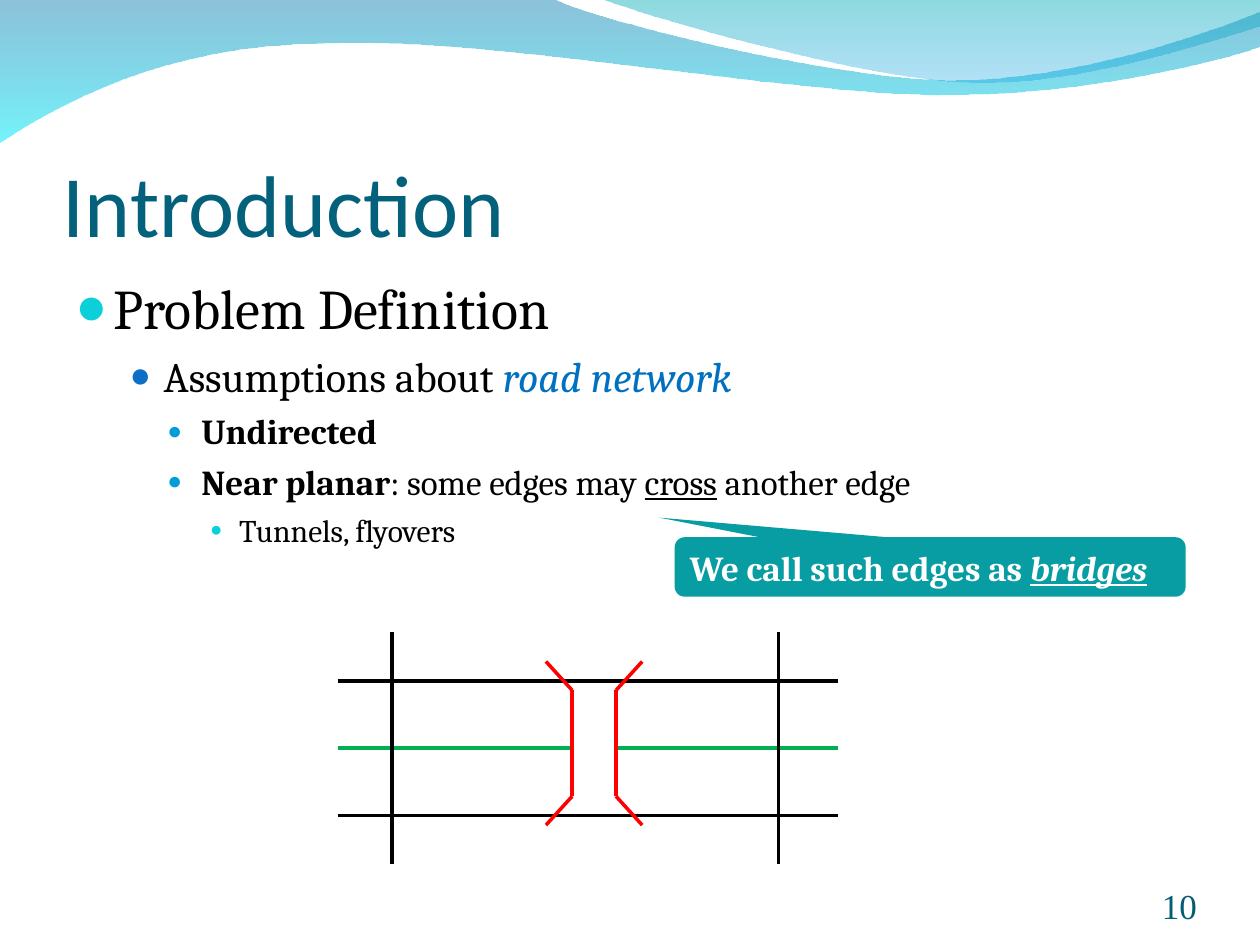
import pptx
import pptx.dml.color
import pptx.enum.shapes
import pptx.enum.text
import pptx.oxml
import pptx.oxml.ns
import pptx.util

Pt = pptx.util.Pt
MSO_SHAPE = pptx.enum.shapes.MSO_SHAPE
ANCHOR = pptx.enum.text.MSO_ANCHOR
ALIGN = pptx.enum.text.PP_ALIGN
qn = pptx.oxml.ns.qn


def color(value):
    return pptx.dml.color.RGBColor.from_string(value)


def add_runs(paragraph, size, font_name, runs):
    for text, font_color, formats in runs:
        run = paragraph.add_run()
        run.text = text
        run.font.color.rgb = color(font_color)
        for name, value in {"size": Pt(size), "name": font_name, **formats}.items():
            setattr(run.font, name, value)


presentation = pptx.Presentation()
presentation.slide_width, presentation.slide_height = Pt(720), Pt(540)
slide = presentation.slides.add_slide(presentation.slide_layouts[6])
shapes = slide.shapes

waves = [
    ((0, -0.5), [
        [(317, -0.5)],
        [(343, 12), (478, 45.5), (546, 45.5)],
        [(614, 45.5), (690, 18.5), (720, 6.5)],
        [(721, 26)],
        [(708, 31.5), (626, 54.5), (537, 54)],
        [(448, 54), (275, 20), (185, 24.5)],
        [(93, 25), (33, 60), (-0.5, 81.5)],
        [(0, -0.5)],
    ], [("0079AF", 45), ("00EBF8", 55)]),
    ((345, -0.5), [
        [(366, 8), (491, 44.5), (553.5, 47)],
        [(616, 49.5), (692, 23), (720, 15)],
        [(720, 0)],
        [(345, -0.5)],
    ], [("00ADB6", 45), ("009BE5", 30)]),
]
for start, segments, stops in waves:
    builder = shapes.build_freeform(Pt(start[0]), Pt(start[1]))
    for segment in segments:
        builder.add_line_segments([(Pt(x), Pt(y)) for x, y in segment], close=False)
    builder.add_line_segments([], close=True)
    wave = builder.convert_to_shape()
    vertices = iter(list(wave._element.iter(qn("a:lnTo"))))
    for segment in segments:
        first, *others = [next(vertices) for point in segment]
        if others:
            curve = first.makeelement(qn("a:cubicBezTo"), {})
            first.addprevious(curve)
            for vertex in (first, *others):
                curve.append(vertex[0])
                vertex.getparent().remove(vertex)
    wave.shadow.inherit = False
    wave.line.fill.background()
    wave.fill.gradient()
    wave.fill.gradient_angle = 270
    for stop, (stop_color, opacity), position in zip(wave.fill.gradient_stops, stops, (0, 1)):
        stop.color.rgb = color(stop_color)
        stop.position = position
    for element, (stop_color, opacity) in zip(wave._element.spPr.iter(qn("a:srgbClr")), stops):
        element.append(element.makeelement(qn("a:alpha"), {"val": str(opacity * 1000)}))

roads = [(193, y, 479, y, line_color)
         for y, line_color in ((466, "000000"), (389, "000000"), (427.5, "00B050"))]
bridge = []
for inner, outer in ((327, 312), (352, 367)):
    bridge += [(outer, 378, inner, 394.5, "FF0000"),
               (outer, 471.5, inner, 455, "FF0000"),
               (inner, 394.5, inner, 455, "FF0000")]
crossroads = [(x, 361, x, 494, "000000") for x in (224, 445)]

for lines in (roads, bridge, crossroads):
    container = shapes
    if lines is bridge:
        gap = shapes.add_shape(MSO_SHAPE.RECTANGLE, Pt(326), Pt(394.5), Pt(26.5), Pt(60))
        gap.shadow.inherit = False
        gap.fill.solid()
        gap.fill.fore_color.rgb = color("FFFFFF")
        gap.line.fill.background()
        container = shapes.add_group_shape().shapes
    for x1, y1, x2, y2, line_color in lines:
        connector = container.add_connector(
            pptx.enum.shapes.MSO_CONNECTOR.STRAIGHT, Pt(x1), Pt(y1), Pt(x2), Pt(y2))
        connector.line.color.rgb = color(line_color)
        connector.line.width = Pt(2)
        properties = connector._element.spPr
        properties.append(properties.makeelement(qn("a:effectLst"), {}))

callout = shapes.add_shape(
    MSO_SHAPE.ROUNDED_RECTANGULAR_CALLOUT, Pt(385.5), Pt(307), Pt(292), Pt(34))
callout.shadow.inherit = False
callout.fill.solid()
callout.fill.fore_color.rgb = color("089CA3")
callout.line.fill.background()
for index, value in enumerate((-0.53, -0.83, 0.17)):
    callout.adjustments[index] = value

title = shapes.add_textbox(Pt(36), Pt(55.5), Pt(648), Pt(90))
body = shapes.add_textbox(Pt(36), Pt(152.5), Pt(647), Pt(208))
number = shapes.add_textbox(Pt(624), Pt(500.5), Pt(60), Pt(29))

white_bold = {"bold": True}
texts = [
    (title, ANCHOR.BOTTOM, (0, 3.6, 0, 0), ALIGN.LEFT, 50, "Calibri",
     [("Introduction", "04617B", {})]),
    (number, ANCHOR.BOTTOM, (0, 0, 0, 0), ALIGN.RIGHT, 20, "Times New Roman",
     [("10", "045C75", {})]),
    (callout, ANCHOR.TOP, (7.2, 3.6, 7.2, 3.6), ALIGN.LEFT, 20, "Cambria",
     [("We call such edges as ", "FFFFFF", white_bold),
      ("bridges", "FFFFFF", {**white_bold, "italic": True, "underline": True})]),
]
for shape, anchor, margins, alignment, size, font_name, runs in texts:
    frame = shape.text_frame
    formats = {"word_wrap": True, "vertical_anchor": anchor}
    sides = ("margin_left", "margin_top", "margin_right", "margin_bottom")
    formats.update(zip(sides, map(Pt, margins)))
    for name, value in formats.items():
        setattr(frame, name, value)
    frame.paragraphs[0].alignment = alignment
    add_runs(frame.paragraphs[0], size, font_name, runs)

levels = [
    (32, 21.6, -21.6, 8, "0BD0D9", 95),
    (24, 50.4, -19.4, 6, "0F6FC6", 85),
    (20, 72, -19.4, 5, "009DD9", 70),
    (18, 93.6, -16.6, 4.5, "0BD0D9", 65),
]
bullets = [
    (0, [("Problem Definition", "000000", {})]),
    (1, [("Assumptions about ", "000000", {}),
         ("road network", "0070C0", {"italic": True})]),
    (2, [("Undirected", "000000", {"bold": True})]),
    (2, [("Near planar", "000000", {"bold": True}),
         (": some edges may ", "000000", {}),
         ("cross", "000000", {"underline": True}),
         (" another edge", "000000", {})]),
    (3, [("Tunnels, flyovers", "000000", {})]),
]
body.text_frame.word_wrap = True
for index, (level, runs) in enumerate(bullets):
    size, margin, indent, space, bullet_color, bullet_size = levels[level]
    paragraph = body.text_frame.paragraphs[0] if index == 0 else body.text_frame.add_paragraph()
    paragraph.level = level
    paragraph.space_before = Pt(space)
    properties = paragraph._p.get_or_add_pPr()
    properties.set("marL", str(Pt(margin)))
    properties.set("indent", str(Pt(indent)))
    bullet_xml = (
        f'<a:pPr xmlns:a="http://schemas.openxmlformats.org/drawingml/2006/main">'
        f'<a:buClr><a:srgbClr val="{bullet_color}"/></a:buClr>'
        f'<a:buSzPct val="{bullet_size * 1000}"/>'
        f'<a:buFont typeface="Times New Roman"/><a:buChar char="●"/></a:pPr>')
    for element in list(pptx.oxml.parse_xml(bullet_xml)):
        properties.append(element)
    add_runs(paragraph, size, "Cambria", runs)

presentation.save("out.pptx")
